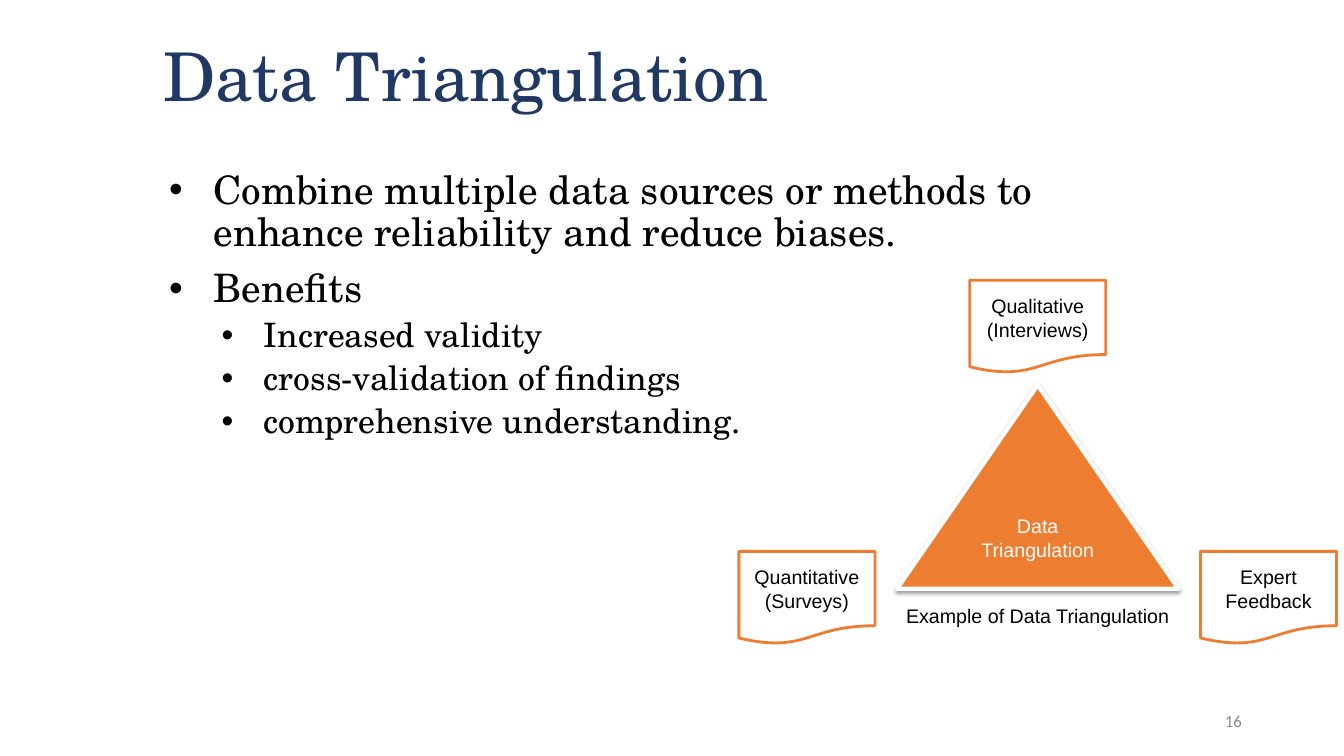
from dataclasses import dataclass

from lxml import etree
from pptx import Presentation
from pptx import util as u
from pptx.dml.color import RGBColor
from pptx.enum import shapes, text
from pptx.oxml import parse_xml
from pptx.oxml.ns import nsdecls, qn


@dataclass(frozen=True)
class Theme:
    """Colours, fonts and type sizes of the slide."""
    navy: str = "1F3864"
    black: str = "000000"
    white: str = "FFFFFF"
    orange: str = "ED7D31"
    grey: str = "888888"
    serif: str = "TeX Gyre Schola"
    sans: str = "Arial"
    footer: str = "Calibri"
    title_size: int = 48
    bullet_sizes: tuple = (28, 24)
    label_size: int = 14
    number_size: int = 12


class TriangulationSlide:
    """Draws elements on a blank slide with a grid of 160 columns and 90 rows."""

    COLUMNS, ROWS = 160, 90

    def __init__(self, deck, theme):
        """Keep the style and open the slide."""
        self.theme = theme
        self.slide = deck.slides.add_slide(deck.slide_layouts[6])
        self.column = deck.slide_width / self.COLUMNS
        self.row = deck.slide_height / self.ROWS

    def place(self, left, top, width, height):
        """Turn columns and rows into slide lengths."""
        return (u.Emu(round(left * self.column)), u.Emu(round(top * self.row)),
                u.Emu(round(width * self.column)), u.Emu(round(height * self.row)))

    def style(self, target, values):
        """Set every attribute in a dict of format values."""
        for attribute, value in values.items():
            setattr(target, attribute, value)

    def add_words(self, paragraph, words, size, font, color, **layout):
        """Fill a paragraph with one formatted run."""
        self.style(paragraph, layout)
        run = paragraph.add_run()
        run.text = words
        self.style(run.font, {"size": u.Pt(size), "name": font})
        run.font.color.rgb = RGBColor.from_string(color)

    def text_area(self, grid, anchor=text.MSO_ANCHOR.TOP):
        """Add a wrapping text box and return its text frame."""
        area = self.slide.shapes.add_textbox(*self.place(*grid)).text_frame
        self.style(area, {"word_wrap": True, "vertical_anchor": anchor})
        return area

    def text_line(self, grid, words, size, font, color,
                  anchor=text.MSO_ANCHOR.TOP, **layout):
        """Add a text box with a single paragraph."""
        paragraph = self.text_area(grid, anchor).paragraphs[0]
        self.add_words(paragraph, words, size, font, color, **layout)

    def bullets(self, grid, items):
        """Add a bulleted list of (level, words) pairs."""
        theme = self.theme
        area = self.text_area(grid)
        margins = ((0.5, -0.44), (1, -0.42))
        for index, (level, words) in enumerate(items):
            paragraph = area.add_paragraph() if index else area.paragraphs[0]
            layout = {"level": level, "line_spacing": 0.9}
            if index:
                layout["space_before"] = u.Pt((10, 5)[level])
            self.style(paragraph, layout)
            properties = paragraph._p.get_or_add_pPr()
            for key, inches in zip(("marL", "indent"), margins[level]):
                properties.set(key, str(u.Inches(inches)))
            color = etree.SubElement(properties, qn("a:buClr"))
            etree.SubElement(color, qn("a:srgbClr")).set("val", theme.black)
            etree.SubElement(properties, qn("a:buFont")).set("typeface", theme.sans)
            etree.SubElement(properties, qn("a:buChar")).set("char", "•")
            self.add_words(paragraph, words, theme.bullet_sizes[level],
                           theme.serif, theme.black)

    def figure(self, kind, grid, words, fill, outline, weight, ink):
        """Add a filled, outlined shape with a centred label."""
        shape = self.slide.shapes.add_shape(kind, *self.place(*grid))
        shape.shadow.inherit = False
        shape.fill.solid()
        shape.fill.fore_color.rgb = RGBColor.from_string(fill)
        shape.line.color.rgb = RGBColor.from_string(outline)
        shape.line.width = u.Pt(weight)
        self.style(shape.text_frame,
                   {"word_wrap": True, "vertical_anchor": text.MSO_ANCHOR.MIDDLE})
        self.add_words(shape.text_frame.paragraphs[0], words, self.theme.label_size,
                       self.theme.sans, ink, alignment=text.PP_ALIGN.CENTER)
        return shape

    def document(self, center, top, words):
        """Add a data source as an outlined document."""
        width, height = 16.2, 11.04
        self.figure(shapes.MSO_SHAPE.FLOWCHART_DOCUMENT,
                    (center - width / 2, top, width, height), words,
                    self.theme.white, self.theme.orange, 2, self.theme.black)

    def triangle(self, center, top, width, height, words):
        """Add the central triangle with its soft shadow."""
        shape = self.figure(shapes.MSO_SHAPE.ISOSCELES_TRIANGLE,
                            (center - width / 2, top, width, height), words,
                            self.theme.orange, self.theme.white, 3, self.theme.white)
        effects = shape._element.spPr.find(qn("a:effectLst"))
        effects.append(parse_xml(
            f'<a:outerShdw {nsdecls("a")} blurRad="{u.Pt(3.1)}" dist="{u.Pt(1.6)}" '
            f'dir="5400000" rotWithShape="0"><a:srgbClr val="{self.theme.black}">'
            '<a:alpha val="38000"/></a:srgbClr></a:outerShdw>'))


def main():
    """Build the slide and save it."""
    deck = Presentation()
    deck.slide_width, deck.slide_height = u.Inches(13.33), u.Inches(7.5)
    theme = Theme()
    page = TriangulationSlide(deck, theme)
    middle = text.MSO_ANCHOR.MIDDLE

    page.text_line((18.24, 0.84, 122, 17.4), "Data Triangulation", theme.title_size,
                   theme.serif, theme.navy, middle, line_spacing=0.9)
    page.bullets((18.24, 19.68, 122, 61.44), [
        (0, "Combine multiple data sources or methods to enhance reliability "
            "and reduce biases."),
        (0, "Benefits"),
        (1, "Increased validity"),
        (1, "cross-validation of findings"),
        (1, "comprehensive understanding."),
    ])
    page.text_line((113.04, 83.4, 36, 4.8), "16", theme.number_size, theme.footer,
                   theme.grey, middle, alignment=text.PP_ALIGN.RIGHT)

    axis, reach, apex_row, base_row = 123.54, 27.48, 33.36, 65.64
    page.triangle(axis, 45.84, 33.48, 24.24, "Data Triangulation")
    for side, top, source in ((0, apex_row, "Qualitative (Interviews)"),
                              (-1, base_row, "Quantitative (Surveys)"),
                              (1, base_row, "Expert Feedback")):
        page.document(axis + side * reach, top, source)
    caption_width = 46.56
    page.text_line((axis - caption_width / 2, 71.28, caption_width, 4.08),
                   "Example of Data Triangulation", theme.label_size, theme.sans,
                   theme.black, alignment=text.PP_ALIGN.CENTER)

    deck.save("out.pptx")


if __name__ == "__main__":
    main()
